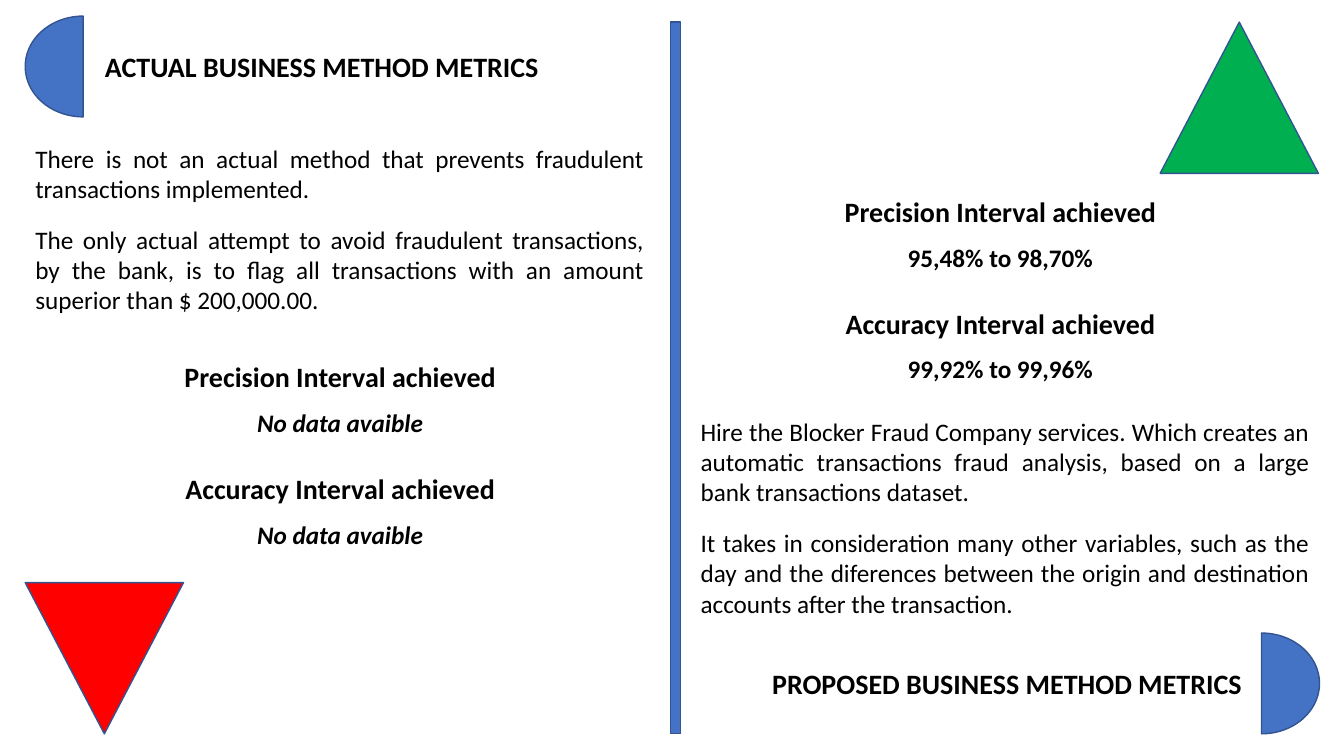
from lxml.etree import SubElement
from pptx import Presentation
from pptx.dml.color import RGBColor
from pptx.enum.shapes import MSO_SHAPE
from pptx.enum.text import MSO_ANCHOR, MSO_AUTO_SIZE, PP_ALIGN
from pptx.oxml.ns import qn
from pptx.util import Pt

PX = 9144
COLORS = {"blue": "4472C4", "edge": "325491", "red": "FF0000",
          "green": "00B050", "text": "000000"}
FRAME = {"word_wrap": True, "auto_size": MSO_AUTO_SIZE.NONE,
         "vertical_anchor": MSO_ANCHOR.TOP}
HEAD = {"size": Pt(20), "bold": True, "italic": False}
BODY = {"size": Pt(18), "bold": False, "italic": False}
VALUE = {"size": Pt(18), "bold": True, "italic": False}
EMPTY = {**VALUE, "italic": True}

ACTUAL = [
    "There is not an actual method that prevents fraudulent transactions implemented.",
    "The only actual attempt to avoid fraudulent transactions, by the bank, "
    "is to flag all transactions with an amount superior than $ 200,000.00.",
]
PROPOSED = [
    "Hire the Blocker Fraud Company services. Which creates an automatic "
    "transactions fraud analysis, based on a large bank transactions dataset.",
    "It takes in consideration many other variables, such as the day and the "
    "diferences between the origin and destination accounts after the transaction.",
]


def color(name):
    return RGBColor.from_string(COLORS[name])


def apply(item, values):
    for name, value in values.items():
        setattr(item, name, value)


def place(shape, box):
    sides = ("left", "top", "width", "height")
    apply(shape, {side: n * PX for side, n in zip(sides, box)})


def write(shape, box, lines, align, gap=0):
    place(shape, box)
    frame = shape.text_frame
    apply(frame, FRAME)
    for i, (text, font) in enumerate(lines):
        para = frame.add_paragraph() if i else frame.paragraphs[0]
        apply(para, {"alignment": align, "line_spacing": 1.0,
                     "space_before": Pt(gap if i else 0), "space_after": Pt(0)})
        props = para._p.get_or_add_pPr()
        props.set("marL", "0")
        props.set("indent", "0")
        SubElement(props, qn("a:buNone"))
        run = para.add_run()
        run.text = text
        apply(run.font, {**font, "name": "Calibri"})
        run.font.color.rgb = color("text")


def draw(slide, kind, box, fill, turn=0, adjust=()):
    shape = slide.shapes.add_shape(kind, *(n * PX for n in box))
    shape.rotation = turn
    shape.shadow.inherit = False
    for i, value in enumerate(adjust):
        shape.adjustments[i] = value
    shape.fill.solid()
    shape.fill.fore_color.rgb = color(fill)
    shape.line.color.rgb = color("edge")
    shape.line.width = Pt(1)


def metric(slide, left, top, name, value, font):
    box = slide.shapes.add_textbox(0, 0, PX, PX)
    lines = [(f"{name} Interval achieved", HEAD), (value, font)]
    write(box, (left, top, 467, 91), lines, PP_ALIGN.CENTER, 9.8)


def main():
    deck = Presentation()
    apply(deck, {"slide_width": 12192000, "slide_height": 750 * PX})
    slide = deck.slides.add_slide(deck.slide_layouts[4])
    slots = {s.placeholder_format.idx: s for s in slide.placeholders}
    spare = slots[3].element
    spare.getparent().remove(spare)

    write(slots[0], (94, 44, 487, 44),
          [("ACTUAL BUSINESS METHOD METRICS", HEAD)], PP_ALIGN.LEFT)
    write(slots[1], (756, 656, 529, 44),
          [("PROPOSED BUSINESS METHOD METRICS", HEAD)], PP_ALIGN.LEFT)
    for idx, box, texts in ((2, (25, 137, 624, 182), ACTUAL),
                            (4, (685, 408, 624, 212), PROPOSED)):
        write(slots[idx], box, [(text, BODY) for text in texts],
              PP_ALIGN.JUSTIFY, 14.6)

    half = (54, 162)
    draw(slide, MSO_SHAPE.PIE, (25, 16, 115, 100), "blue", adjust=half)
    draw(slide, MSO_SHAPE.PIE, (1194, 628, 115, 100), "blue", 180, half)
    draw(slide, MSO_SHAPE.ISOSCELES_TRIANGLE, (25, 578, 157, 150), "red", 180)
    draw(slide, MSO_SHAPE.ISOSCELES_TRIANGLE, (1151, 22, 157, 150), "green")
    draw(slide, MSO_SHAPE.RECTANGLE, (665, 22, 10, 706), "blue")

    none = "No data avaible"
    for left, top, font, values in (
            (104, 352, EMPTY, (none, none)),
            (759, 188, VALUE, ("95,48% to 98,70%", "99,92% to 99,96%"))):
        for i, name in enumerate(("Precision", "Accuracy")):
            metric(slide, left, top + 111 * i, name, values[i], font)

    deck.save("out.pptx")


if __name__ == "__main__":
    main()
